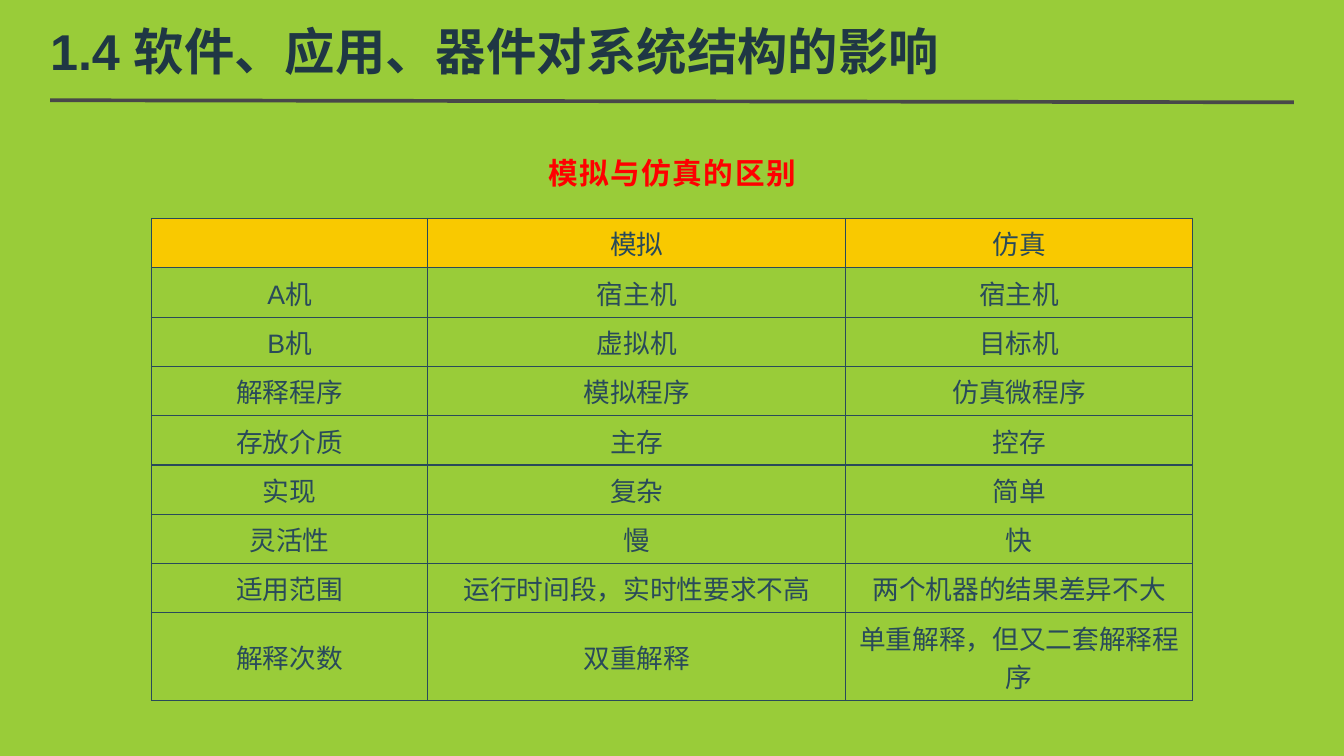
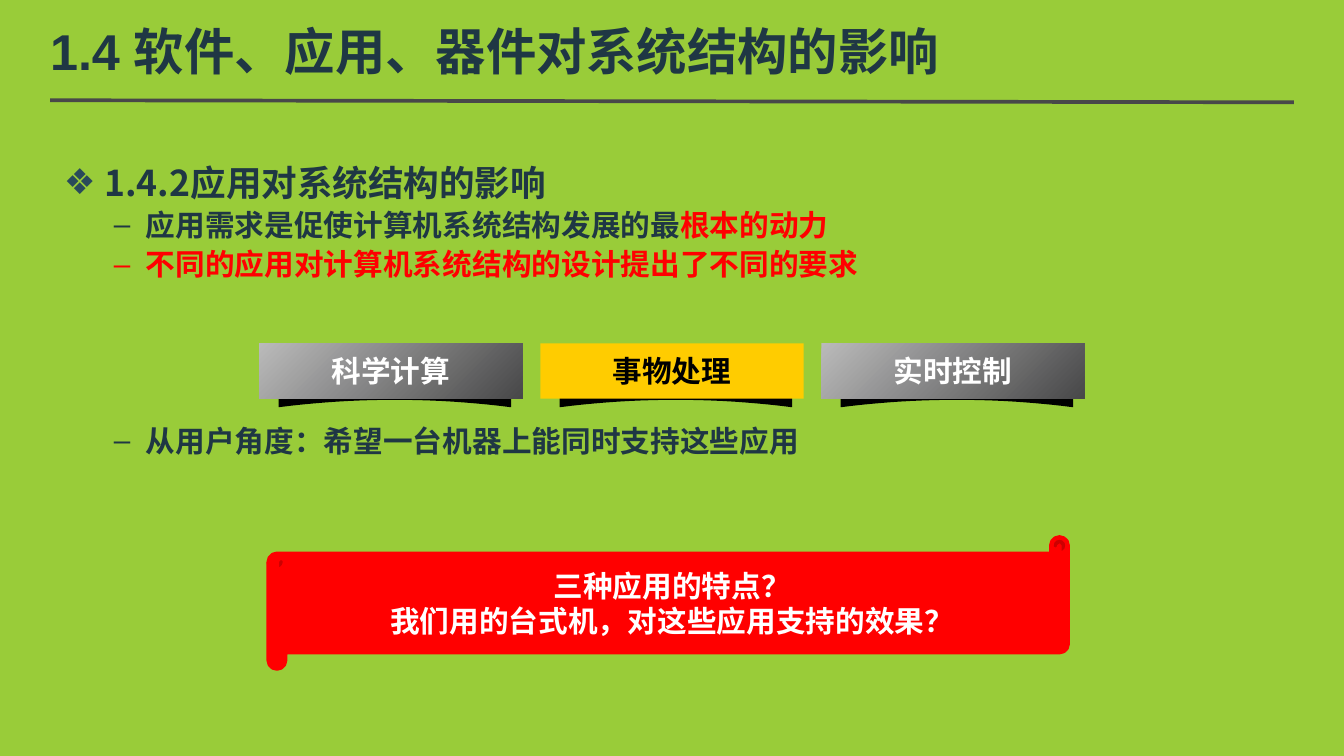
from lxml import etree
from pptx import Presentation
from pptx.dml.color import RGBColor
from pptx.enum.shapes import MSO_CONNECTOR, MSO_SHAPE
from pptx.enum.text import MSO_ANCHOR, MSO_AUTO_SIZE, PP_ALIGN
from pptx.oxml.ns import qn
from pptx.util import Pt

LEFT, CENTER = PP_ALIGN.LEFT, PP_ALIGN.CENTER
TOP, MIDDLE = MSO_ANCHOR.TOP, MSO_ANCHOR.MIDDLE
NO_FIT = MSO_AUTO_SIZE.NONE
STRAIGHT = MSO_CONNECTOR.STRAIGHT
RECTANGLE, SCROLL = MSO_SHAPE.RECTANGLE, MSO_SHAPE.HORIZONTAL_SCROLL
TITLE_ONLY = 5

LATIN, HAN = "Arial", "Noto Sans CJK SC"
COLORS = {
    "background": "99CC39", "title": "1F3744", "rule": "484849",
    "table": "294A5A", "header": "F9C900", "accent": "FF0000",
    "highlight": "FFCC00", "gray": "BABABA", "white": "FFFFFF", "black": "000000",
}

TITLE = "1.4 软件、应用、器件对系统结构的影响"
COMPARISON = [
    ("", "模拟", "仿真"),
    ("A机", "宿主机", "宿主机"),
    ("B机", "虚拟机", "目标机"),
    ("解释程序", "模拟程序", "仿真微程序"),
    ("存放介质", "主存", "控存"),
    ("实现", "复杂", "简单"),
    ("灵活性", "慢", "快"),
    ("适用范围", "运行时间段，实时性要求不高", "两个机器的结果差异不大"),
    ("解释次数", "双重解释", "单重解释，但又二套解释程序"),
]
COLUMN_WIDTHS = (186.5, 282.2, 234)
ROW_HEIGHT = 31.7
BUTTON_LEFT, BUTTON_TOP, BUTTON_PITCH = 175, 231.8, 189.7
BUTTON_WIDTH, BUTTON_HEIGHT = 177.8, 37.4


def rgb(name):
    return RGBColor.from_string(COLORS[name])


def points(*lengths):
    return [Pt(length) for length in lengths]


def add_text(para, text, size=20, color="title", bold=True, font=HAN, tracking=0):
    span = para.add_run()
    span.text = text
    span.font.size, span.font.bold, span.font.name = Pt(size), bold, font
    span.font.color.rgb = rgb(color)
    properties = span.font._element
    etree.SubElement(properties, qn("a:ea"), typeface=HAN)
    if tracking:
        properties.set("spc", str(round(tracking * 100)))


def set_frame(frame, anchor, wrap, insets=(7.2, 3.6)):
    frame.word_wrap, frame.auto_size = wrap, NO_FIT
    frame.vertical_anchor = anchor
    frame.margin_left = frame.margin_right = Pt(insets[0])
    frame.margin_top = frame.margin_bottom = Pt(insets[1])


def add_box(page, bounds, insets=(7.2, 3.6)):
    frame = page.shapes.add_textbox(*points(*bounds)).text_frame
    set_frame(frame, TOP, True, insets)
    return frame


def add_page(deck):
    page = deck.slides.add_slide(deck.slide_layouts[TITLE_ONLY])
    rule = page.shapes.add_connector(STRAIGHT, *points(33.8, 67.7, 873.4, 69.1))
    rule.line.color.rgb, rule.line.width = rgb("rule"), Pt(2.5)
    etree.SubElement(rule._element.spPr, qn("a:effectLst"))
    title = page.shapes.title
    title.left, title.top, title.width, title.height = points(33.8, 11.5, 838.8, 45.4)
    set_frame(title.text_frame, MIDDLE, True, (0, 0))
    para = title.text_frame.paragraphs[0]
    para.alignment = LEFT
    add_text(para, TITLE, size=34, font=LATIN)
    return page


def set_borders(cell):
    properties = cell._tc.get_or_add_tcPr()
    for place, side in enumerate(("lnL", "lnR", "lnT", "lnB")):
        border = etree.Element(qn(f"a:{side}"), w=str(Pt(1)))
        fill = etree.SubElement(border, qn("a:solidFill"))
        etree.SubElement(fill, qn("a:srgbClr"), val=COLORS["table"])
        properties.insert(place, border)


def add_comparison(page, left, top):
    frame = page.shapes.add_table(
        len(COMPARISON), len(COLUMN_WIDTHS),
        *points(left, top, sum(COLUMN_WIDTHS), ROW_HEIGHT * len(COMPARISON)))
    table = frame.table
    table.first_row = table.horz_banding = False
    for column, width in zip(table.columns, COLUMN_WIDTHS):
        column.width = Pt(width)
    for row_number, texts in enumerate(COMPARISON):
        table.rows[row_number].height = Pt(ROW_HEIGHT)
        for cell, text in zip(table.rows[row_number].cells, texts):
            cell.vertical_anchor = MIDDLE
            if row_number == 0:
                cell.fill.solid()
                cell.fill.fore_color.rgb = rgb("header")
            else:
                cell.fill.background()
            set_borders(cell)
            para = cell.text_frame.paragraphs[0]
            para.alignment = CENTER
            if text:
                add_text(para, text, size=18, color="table", bold=False, font=LATIN)


def set_bullet(para, char, margin, hanging, color=None):
    properties = para._p.get_or_add_pPr()
    properties.set("marL", str(Pt(margin)))
    properties.set("indent", str(-Pt(hanging)))
    if color:
        holder = etree.SubElement(properties, qn("a:buClr"))
        etree.SubElement(holder, qn("a:srgbClr"), val=COLORS[color])
    etree.SubElement(properties, qn("a:buFont"), typeface=LATIN)
    etree.SubElement(properties, qn("a:buChar"), char=char)


def add_outline(page):
    frame = add_box(page, (36, 102.2, 838.8, 358.6))
    heading = frame.paragraphs[0]
    heading.line_spacing = 1.1
    set_bullet(heading, "❖", 27.4, 27.4, "table")
    add_text(heading, "1.4.2应用对系统结构的影响", size=24)
    items = [
        (0, [("应用需求是促使计算机系统结构发展的最", "title"), ("根本的动力", "accent")]),
        (0, [("不同的应用对计算机系统结构的设计提出了不同的要求", "accent")]),
        (93, [("从用户角度：希望一台机器上能同时支持这些应用", "title")]),
    ]
    for gap, spans in items:
        para = frame.add_paragraph()
        para.level, para.line_spacing, para.space_before = 1, 1.1, Pt(gap)
        set_bullet(para, "–", 55.4, 21.6)
        for text, color in spans:
            add_text(para, text, color=color)


def add_labelled_shape(page, kind, bounds, lines, text_color="white"):
    shape = page.shapes.add_shape(kind, *points(*bounds))
    shape.shadow.inherit = False
    shape.line.fill.background()
    frame = shape.text_frame
    set_frame(frame, MIDDLE, False)
    for number, text in enumerate(lines):
        para = frame.add_paragraph() if number else frame.paragraphs[0]
        para.alignment = CENTER
        add_text(para, text, color=text_color)
    return shape


def add_curved_shadow(page, left):
    """Draw the dark sheet under a button; its lower edge bows upward."""
    half, bottom, sag, steps = 78.5, 275, 5, 10
    middle = left + half
    ratios = [1 - step / steps for step in range(2 * steps + 1)]
    edge = [(middle + half * t, bottom - sag * (1 - t * t)) for t in ratios]
    corners = [(left, 261.4), (middle, 257), (left + 2 * half, 261.4)]
    builder = page.shapes.build_freeform(*points(*edge[0]))
    builder.add_line_segments([points(*point) for point in edge[1:] + corners])
    sheet = builder.convert_to_shape()
    sheet.shadow.inherit = False
    sheet.fill.solid()
    sheet.fill.fore_color.rgb = rgb("black")
    sheet.line.fill.background()


def add_buttons(page):
    for number, label in enumerate(("科学计算", "事物处理", "实时控制")):
        left = BUTTON_LEFT + number * BUTTON_PITCH
        highlighted = number == 1
        add_curved_shadow(page, left + 13)
        button = add_labelled_shape(
            page, RECTANGLE, (left, BUTTON_TOP, BUTTON_WIDTH, BUTTON_HEIGHT),
            [label], "black" if highlighted else "white")
        if highlighted:
            button.fill.solid()
            button.fill.fore_color.rgb = rgb("highlight")
        else:
            button.fill.gradient()
            button.fill.gradient_angle = 315
            for stop, color in zip(button.fill.gradient_stops, ("gray", "rule")):
                stop.color.rgb = rgb(color)


def add_question_scroll(page):
    scroll = add_labelled_shape(
        page, SCROLL, (181.4, 362.9, 539.3, 88.6),
        ["三种应用的特点？", "我们用的台式机，对这些应用支持的效果？"])
    scroll.fill.solid()
    scroll.fill.fore_color.rgb = rgb("accent")
    scroll.line.color.rgb, scroll.line.width = rgb("accent"), Pt(3)


def build_comparison_page(deck):
    page = add_page(deck)
    caption = add_box(page, (357.1, 101.5, 193, 33.8), (5, 2.2)).paragraphs[0]
    caption.alignment, caption.line_spacing = CENTER, 1.05
    add_text(caption, "模拟与仿真的区别", color="accent", tracking=1)
    add_comparison(page, 102.2, 147.6)


def build_application_page(deck):
    page = add_page(deck)
    add_outline(page)
    add_buttons(page)
    add_question_scroll(page)


def main():
    deck = Presentation()
    deck.slide_width, deck.slide_height = points(907.2, 510.5)
    background = deck.slide_master.background.fill
    background.solid()
    background.fore_color.rgb = rgb("background")
    build_comparison_page(deck)
    build_application_page(deck)
    deck.save("out.pptx")


if __name__ == "__main__":
    main()
